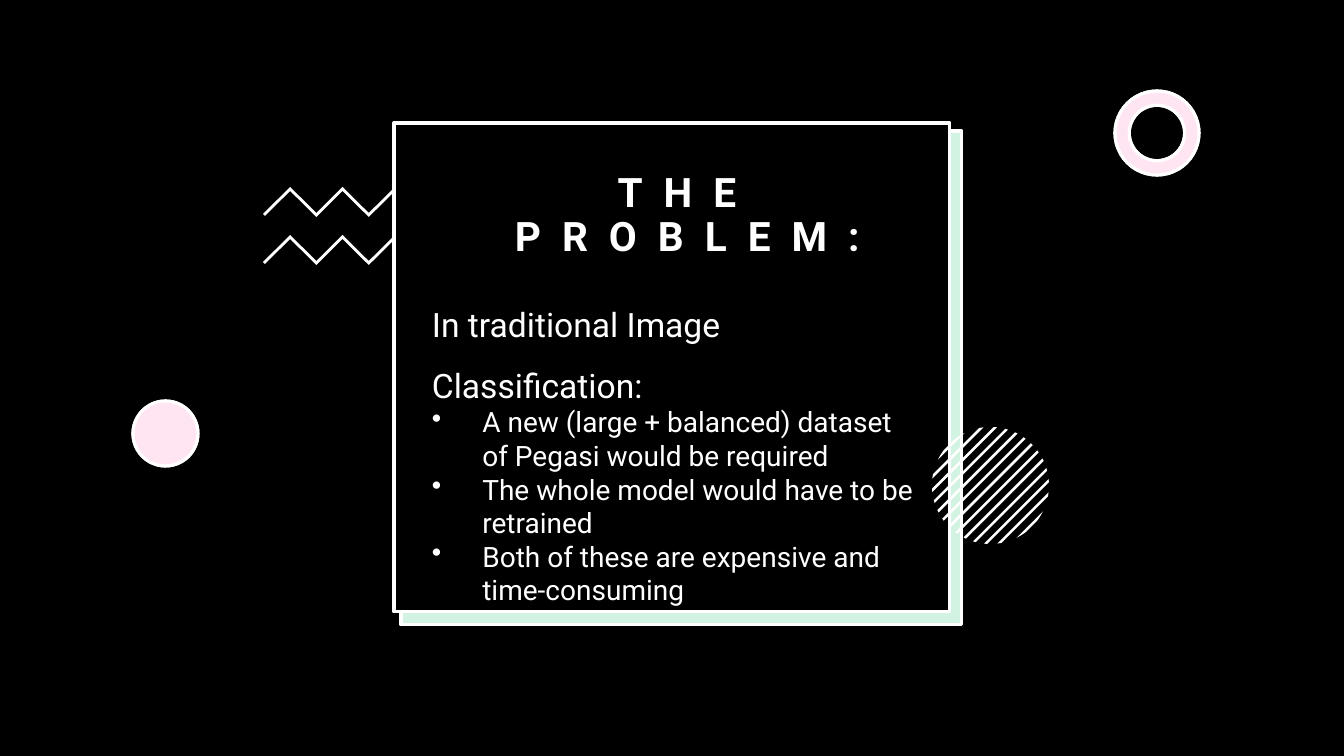
import math

import pptx
import pptx.dml.color
import pptx.enum.shapes
import pptx.enum.text
import pptx.oxml
import pptx.oxml.ns
import pptx.util

# Content
TITLE = "THE PROBLEM:"
LEAD = "In traditional Image Classification:"
POINTS = [
    "A new (large + balanced) dataset of Pegasi would be required",
    "The whole model would have to be retrained",
    "Both of these are expensive and time-consuming",
]
COLORS = {"black": "000000", "white": "FFFFFF", "mint": "21C46B", "pink": "FF80BD"}
FONT = "Roboto"

# Geometry in px: left, top, width, height
PAGE = (0, 0, 1344, 756)
CARD_SHADOW = (401, 131, 561, 494)
CARD = (394, 123, 556, 489)
TITLE_BOX = (474, 162, 427, 103)
BODY_BOX = (422, 279, 510, 275)
RING = (1115, 91, 84, 84)
DOT = (133, 401, 65, 65)
STRIPED = (932, 427, 117, 117)
ZIGZAG_LEFT, ZIGZAG_TOPS = 264, (187, 235)
ZIGZAG_STEP, ZIGZAG_RISE, ZIGZAG_WEIGHT, ZIGZAG_COUNT = 26.2, 26, 4, 8
STRIPE_COUNT, STRIPE_PITCH, STRIPE_HALF = 13, 9.45, 1.3

PX = 914400 / 100.8
SHAPES = pptx.enum.shapes.MSO_SHAPE


def emu(px):
    return round(px * PX)


def color(name):
    return pptx.dml.color.RGBColor.from_string(COLORS[name])


def paint(shape, fill, alpha=None, line=None):
    shape.shadow.inherit = False
    shape.fill.solid()
    shape.fill.fore_color.rgb = color(fill)
    if alpha:
        tone = shape.fill._xPr.find(".//" + pptx.oxml.ns.qn("a:srgbClr"))
        tone.append(pptx.oxml.parse_xml(
            f'<a:alpha {pptx.oxml.ns.nsdecls("a")} val="{alpha * 1000}"/>'))
    if line:
        shape.line.color.rgb = color(line)
        shape.line.width = pptx.util.Pt(2.25)
    else:
        shape.line.fill.background()


def add_preset(page, kind, frame, fill, adjust=None, **style):
    shape = page.shapes.add_shape(kind, *map(emu, frame))
    if adjust:
        shape.adjustments[0] = adjust
    paint(shape, fill, **style)


def add_outline(page, points, fill):
    start, *rest = [(emu(x), emu(y)) for x, y in points]
    builder = page.shapes.build_freeform(*start, scale=1.0)
    builder.add_line_segments(rest, close=True)
    paint(builder.convert_to_shape(), fill)


def add_zigzag(page, top):
    upper = [(ZIGZAG_LEFT + i * ZIGZAG_STEP, top + (0 if i % 2 else ZIGZAG_RISE))
             for i in range(ZIGZAG_COUNT + 1)]
    lower = [(x, y + ZIGZAG_WEIGHT) for x, y in reversed(upper)]
    # The ends are cut square to the stroke
    half = ZIGZAG_WEIGHT / 2
    (x0, y0), (x1, y1) = upper[0], upper[-1]
    upper[0], upper[-1] = (x0 - 1, y0 + 1), (x1 + 1, y1 + 1)
    lower[0], lower[-1] = (x1 - 1, y1 + half + 1), (x0 + 1, y0 + half + 1)
    add_outline(page, upper + lower, "white")


def add_stripes(page, frame):
    left, top, width, height = frame
    radius = width / 2
    steps = 6
    for k in range(STRIPE_COUNT):
        offset = (k - STRIPE_COUNT // 2) * STRIPE_PITCH
        near, far = (math.acos((offset + side) / radius)
                     for side in (-STRIPE_HALF, STRIPE_HALF))
        arc = [near + (far - near) * i / steps for i in range(steps + 1)]
        angles = arc + [-angle for angle in reversed(arc)]
        add_outline(page, [(left + radius + radius * math.cos(math.pi / 4 + angle),
                            top + radius + radius * math.sin(math.pi / 4 + angle))
                           for angle in angles], "white")


def write(para, text, size, bold=False, spacing=None, leading=None, align=None, bullet=False):
    props = para._p.get_or_add_pPr()
    if bullet:
        indent = pptx.util.Inches(0.5)
        props.set("marL", str(indent))
        props.set("indent", str(-indent))
        props.append(pptx.oxml.parse_xml(
            f'<a:buChar {pptx.oxml.ns.nsdecls("a")} char="•"/>'))
    if leading:
        para.line_spacing = leading
    if align:
        para.alignment = align
    span = para.add_run()
    span.text = text
    span.font.name = FONT
    span.font.size = pptx.util.Pt(size)
    span.font.bold = bold
    span.font.color.rgb = color("white")
    if spacing:
        span.font._element.set("spc", str(spacing * 100))


def add_box(page, frame):
    box = page.shapes.add_textbox(*map(emu, frame))
    box.text_frame.word_wrap = True
    return box.text_frame


def main():
    deck = pptx.Presentation()
    deck.slide_width, deck.slide_height = emu(PAGE[2]), emu(PAGE[3])
    page = deck.slides.add_slide(deck.slide_layouts[6])
    page.background.fill.solid()
    page.background.fill.fore_color.rgb = color("black")

    # Backdrop and zigzags behind the card
    add_preset(page, SHAPES.RECTANGLE, PAGE, "black")
    for top in ZIGZAG_TOPS:
        add_zigzag(page, top)

    # Card with its tinted offset
    add_preset(page, SHAPES.RECTANGLE, CARD_SHADOW, "white")
    add_preset(page, SHAPES.RECTANGLE, CARD_SHADOW, "mint", alpha=20, line="white")
    add_preset(page, SHAPES.RECTANGLE, CARD, "black", line="white")

    # Title
    title = add_box(page, TITLE_BOX)
    title.vertical_anchor = pptx.enum.text.MSO_ANCHOR.BOTTOM
    write(title.paragraphs[0], TITLE, 29, bold=True, spacing=15, leading=0.9,
          align=pptx.enum.text.PP_ALIGN.CENTER)

    # Ring and dot: a pink tint over white
    for kind, frame, adjust in ((SHAPES.DONUT, RING, 0.17), (SHAPES.OVAL, DOT, None)):
        add_preset(page, kind, frame, "white", adjust=adjust, line="white")
        add_preset(page, kind, frame, "pink", adjust=adjust, alpha=20, line="white")

    # Striped circle
    add_stripes(page, STRIPED)

    # Body text
    body = add_box(page, BODY_BOX)
    body.auto_size = pptx.enum.text.MSO_AUTO_SIZE.SHAPE_TO_FIT_TEXT
    write(body.paragraphs[0], LEAD, 24, leading=1.5)
    for point in POINTS:
        write(body.add_paragraph(), point, 20, bullet=True)

    deck.save("out.pptx")


if __name__ == "__main__":
    main()
